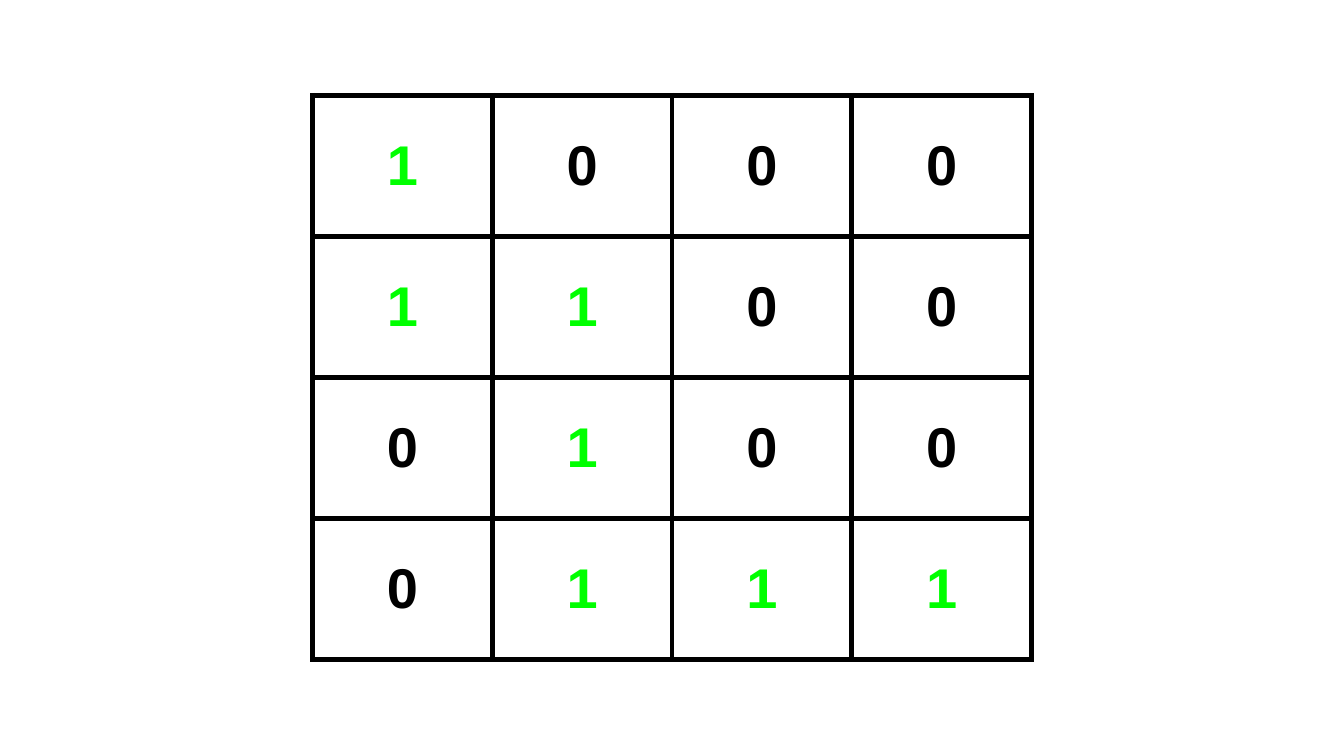
from dataclasses import dataclass

from lxml import etree
from pptx import Presentation
from pptx import util as u
from pptx.dml.color import RGBColor
from pptx.enum import text
from pptx.oxml import ns


@dataclass(frozen=True)
class Theme:
    font: str = "Arial"
    size: int = 30
    border_width: int = 3
    border: str = "000000"
    background: str = "FFFFFF"
    zero: str = "000000"
    one: str = "00FF00"


@dataclass(frozen=True)
class Grid:
    top: float
    width: float
    row_height: float
    rows: tuple[str, ...]


THEME = Theme()
SLIDE_WIDTH = 10
SLIDE_HEIGHT = SLIDE_WIDTH * 9 / 16
MATRIX = Grid(0.71, 5.35, 1.05, ("1000", "1100", "0100", "0111"))
CELL_FORMAT = {
    "vertical_anchor": text.MSO_ANCHOR.MIDDLE,
    "margin_left": u.Inches(0.1),
    "margin_right": u.Inches(0.1),
    "margin_top": u.Inches(0.1),
    "margin_bottom": u.Inches(0.1),
}
FONT_FORMAT = {"name": THEME.font, "size": u.Pt(THEME.size), "bold": True}


def set_attributes(target, values: dict) -> None:
    for name, value in values.items():
        setattr(target, name, value)


def add_borders(cell) -> None:
    properties = cell._tc.get_or_add_tcPr()
    for side in ("lnL", "lnR", "lnT", "lnB"):
        line = etree.SubElement(
            properties, ns.qn(f"a:{side}"), w=str(u.Pt(THEME.border_width))
        )
        fill = etree.SubElement(line, ns.qn("a:solidFill"))
        etree.SubElement(fill, ns.qn("a:srgbClr"), val=THEME.border)


def fill_cell(cell, digit: str) -> None:
    set_attributes(cell, CELL_FORMAT)
    # Borders come before the fill in the cell properties
    add_borders(cell)
    cell.fill.solid()
    cell.fill.fore_color.rgb = RGBColor.from_string(THEME.background)

    paragraph = cell.text_frame.paragraphs[0]
    paragraph.alignment = text.PP_ALIGN.CENTER
    run = paragraph.add_run()
    run.text = digit
    set_attributes(run.font, FONT_FORMAT)
    color = THEME.one if digit == "1" else THEME.zero
    run.font.color.rgb = RGBColor.from_string(color)


def draw_grid(slide, grid: Grid) -> None:
    row_count, column_count = len(grid.rows), len(grid.rows[0])
    # The grid is centred across the slide
    table = slide.shapes.add_table(
        row_count,
        column_count,
        u.Inches((SLIDE_WIDTH - grid.width) / 2),
        u.Inches(grid.top),
        u.Inches(grid.width),
        u.Inches(grid.row_height * row_count),
    ).table
    set_attributes(table, {"first_row": False, "horz_banding": False})
    for row, digits in enumerate(grid.rows):
        for column, digit in enumerate(digits):
            fill_cell(table.cell(row, column), digit)


def main() -> None:
    presentation = Presentation()
    presentation.slide_width = u.Inches(SLIDE_WIDTH)
    presentation.slide_height = u.Inches(SLIDE_HEIGHT)
    slide = presentation.slides.add_slide(presentation.slide_layouts[6])

    # Background
    slide.background.fill.solid()
    slide.background.fill.fore_color.rgb = RGBColor.from_string(THEME.background)

    # Matrix of zeros and ones
    draw_grid(slide, MATRIX)
    presentation.save("out.pptx")


if __name__ == "__main__":
    main()
